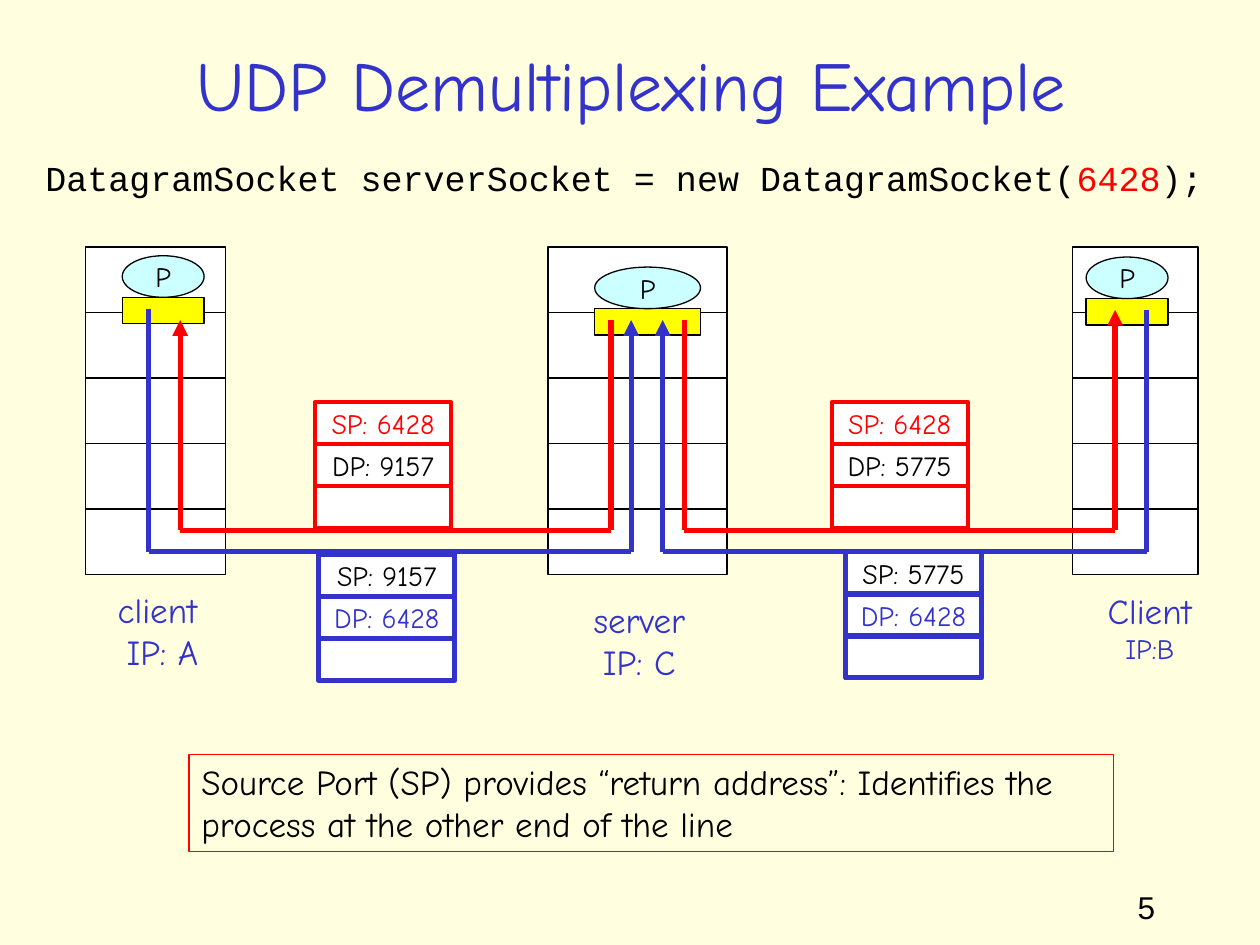
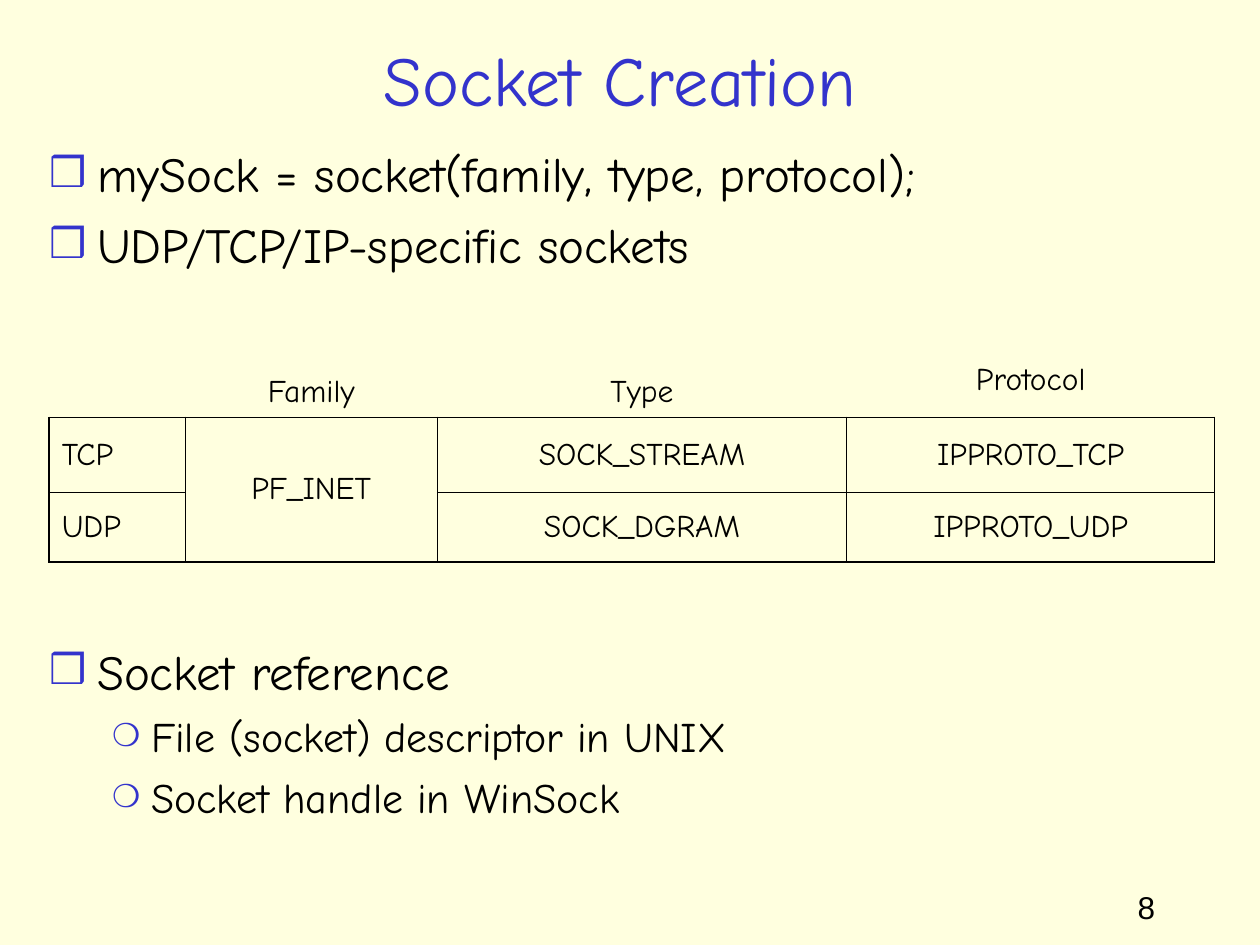
from typing import NamedTuple

from lxml.etree import SubElement
from pptx import Presentation
from pptx.dml.color import RGBColor
from pptx.enum.shapes import MSO_CONNECTOR, MSO_SHAPE
from pptx.enum.text import MSO_ANCHOR, MSO_AUTO_SIZE, PP_ALIGN
from pptx.oxml.ns import qn
from pptx.util import Inches, Pt

CREAM = RGBColor(0xFF, 0xFF, 0xDF)
BLUE = RGBColor(0x33, 0x33, 0xCC)
RED = RGBColor(0xFF, 0x00, 0x00)
BLACK = RGBColor(0x00, 0x00, 0x00)
WHITE = RGBColor(0xFF, 0xFF, 0xFF)
YELLOW = RGBColor(0xFF, 0xFF, 0x00)
CYAN = RGBColor(0xCC, 0xFF, 0xFF)

MAIN_FONT = "Comic Neue"
CODE_FONT = "Courier New"
NUMBER_FONT = "Arial"

LAYER_COUNT, LAYER_TOP, LAYER_HEIGHT = 5, 1.96, 0.52
PROCESS_HEIGHT, SOCKET_HEIGHT = 0.33, 0.21
FIELD_WIDTH, FIELD_HEIGHT = 1.08, 1 / 3
SERVER_PORT = 6428
NO_TABLE_STYLE = "{2D5ABB26-0587-4C30-8999-92F81FD0307C}"
THIN, THICK = 0.45, 1.08


class CaptionLine(NamedTuple):
    text: str
    size: int = 20
    indent: float = 0


class Host(NamedTuple):
    left: float
    width: float
    process_left: float
    process_top: float
    process_width: float
    caption_box: tuple[float, float, float, float]
    caption: tuple[CaptionLine, CaptionLine]


class Wire(NamedTuple):
    """A path that leaves a socket, runs along a level and ends in an arrow."""
    color: RGBColor
    start: tuple[float, float]
    end: tuple[float, float]
    level: float


class Packet(NamedTuple):
    left: float
    top: float
    color: RGBColor
    line_width: float
    source_port: int
    destination_port: int


class Bullet(NamedTuple):
    symbol: str
    percent: int
    level: int
    margin: float
    hanging: float
    size: int


class ListItem(NamedTuple):
    text: str
    bullet: Bullet
    space_before: float


SQUARE = Bullet("❒", 85, 0, 0.38, 0.38, 28)
CIRCLE = Bullet("❍", 75, 1, 0.81, 0.31, 24)

HOSTS = [
    Host(0.68, 1.11, 0.97, 2.03, 0.65, (0.82, 4.62, 0.86, 0.77),
         (CaptionLine("client"), CaptionLine("IP: A", indent=0.08))),
    Host(8.51, 1.0, 8.62, 2.04, 0.65, (8.69, 4.63, 0.87, 0.7),
         (CaptionLine("Client"), CaptionLine("IP:B", size=16))),
    Host(4.35, 1.42, 4.72, 2.12, 0.84, (4.61, 4.7, 0.93, 0.77),
         (CaptionLine("server"), CaptionLine("IP: C"))),
]
WIRES = [
    Wire(RED, (4.85, 2.54), (1.43, 2.54), 4.21),
    Wire(BLUE, (1.18, 2.45), (5.01, 2.54), 4.38),
    Wire(BLUE, (9.1, 2.46), (5.26, 2.54), 4.38),
    Wire(RED, (5.43, 2.54), (8.85, 2.46), 4.21),
]
PACKETS = [
    Packet(2.5, 3.19, RED, 2.25, SERVER_PORT, 9157),
    Packet(2.53, 4.4, BLUE, 3, 9157, SERVER_PORT),
    Packet(6.6, 3.19, RED, 2.25, SERVER_PORT, 5775),
    Packet(6.71, 4.38, BLUE, 3, 5775, SERVER_PORT),
]
SOCKET_LIST = [
    ListItem("mySock = socket(family, type, protocol);", SQUARE, 0),
    ListItem("UDP/TCP/IP-specific sockets", SQUARE, 7),
    ListItem("Socket reference", SQUARE, 210),
    ListItem("File (socket) descriptor in UNIX", CIRCLE, 6),
    ListItem("Socket handle in WinSock", CIRCLE, 6),
]
SOCKET_TABLE = [
    ["", "Family", "Type", "Protocol"],
    ["TCP", "PF_INET", "SOCK_STREAM", "IPPROTO_TCP"],
    ["UDP", "", "SOCK_DGRAM", "IPPROTO_UDP"],
]
COLUMN_WIDTHS = [1.08, 2, 3.25, 2.92]
ROW_HEIGHTS = [0.49, 0.6, 0.55]


def inches(*lengths: float) -> list:
    return [Inches(length) for length in lengths]


def write(paragraph, text: str, *, size: float = 16, color: RGBColor = BLACK,
          font: str = MAIN_FONT, align=PP_ALIGN.LEFT, space_before: float = 0) -> None:
    """Append a formatted run to the paragraph."""
    paragraph.alignment = align
    paragraph.space_before = Pt(space_before)
    run = paragraph.add_run()
    run.text = text
    run.font.name = font
    run.font.size = Pt(size)
    run.font.color.rgb = color


def set_indent(paragraph, margin: float, first_line: float = 0) -> None:
    properties = paragraph._p.get_or_add_pPr()
    properties.set("marL", str(Inches(margin)))
    properties.set("indent", str(Inches(first_line)))


def set_bullet(paragraph, bullet: Bullet) -> None:
    paragraph.level = bullet.level
    set_indent(paragraph, bullet.margin, -bullet.hanging)
    properties = paragraph._p.get_or_add_pPr()
    color = SubElement(properties, qn("a:buClr"))
    SubElement(color, qn("a:srgbClr"), val=str(BLUE))
    SubElement(properties, qn("a:buSzPct"), val=str(bullet.percent * 1000))
    SubElement(properties, qn("a:buChar"), char=bullet.symbol)


def place(placeholder, box: tuple[float, float, float, float]):
    """Move a placeholder and return its text frame."""
    placeholder.left, placeholder.top, placeholder.width, placeholder.height = inches(*box)
    frame = placeholder.text_frame
    frame.auto_size = MSO_AUTO_SIZE.NONE
    return frame


def add_slide(presentation, title: str, number: int, title_box: tuple, body_box: tuple):
    """Add a titled, numbered slide and return it with its body frame."""
    slide = presentation.slides.add_slide(presentation.slide_layouts[1])
    title_frame = place(slide.shapes.title, title_box)
    write(title_frame.paragraphs[0], title, size=40, color=BLUE, align=PP_ALIGN.CENTER)
    number_box = slide.shapes.add_textbox(*inches(8.93, 7, 0.74, 0.5))
    write(number_box.text_frame.paragraphs[0], str(number), size=18, font=NUMBER_FONT)
    return slide, place(slide.placeholders[1], body_box)


def add_box(slide, box: tuple, *, kind=MSO_SHAPE.RECTANGLE, fill: RGBColor | None = WHITE,
            line: RGBColor = BLACK, line_width: float = 0.75):
    shape = slide.shapes.add_shape(kind, *inches(*box))
    shape.shadow.inherit = False
    if fill is None:
        shape.fill.background()
    else:
        shape.fill.solid()
        shape.fill.fore_color.rgb = fill
    shape.line.color.rgb = line
    shape.line.width = Pt(line_width)
    return shape


def label(shape, text: str, color: RGBColor = BLACK) -> None:
    frame = shape.text_frame
    frame.word_wrap = False
    frame.vertical_anchor = MSO_ANCHOR.MIDDLE
    write(frame.paragraphs[0], text, color=color, align=PP_ALIGN.CENTER)


def draw_host(slide, host: Host) -> None:
    for layer in range(LAYER_COUNT):
        add_box(slide, (host.left, LAYER_TOP + layer * LAYER_HEIGHT, host.width, LAYER_HEIGHT))
    add_box(slide, (host.process_left, host.process_top + PROCESS_HEIGHT,
                    host.process_width, SOCKET_HEIGHT), fill=YELLOW)
    process = add_box(slide, (host.process_left, host.process_top, host.process_width,
                              PROCESS_HEIGHT), kind=MSO_SHAPE.OVAL, fill=CYAN)
    label(process, "P")
    frame = slide.shapes.add_textbox(*inches(*host.caption_box)).text_frame
    frame.word_wrap = False
    for index, line in enumerate(host.caption):
        paragraph = frame.add_paragraph() if index else frame.paragraphs[0]
        set_indent(paragraph, line.indent)
        write(paragraph, line.text, size=line.size, color=BLUE, align=PP_ALIGN.CENTER)


def draw_wire(slide, wire: Wire) -> None:
    corners = [wire.start, (wire.start[0], wire.level), (wire.end[0], wire.level), wire.end]
    for start, end in zip(corners, corners[1:]):
        connector = slide.shapes.add_connector(MSO_CONNECTOR.STRAIGHT, *inches(*start, *end))
        connector.line.color.rgb = wire.color
        connector.line.width = Pt(3)
        SubElement(connector._element.spPr, qn("a:effectLst"))
    SubElement(connector.line._get_or_add_ln(), qn("a:tailEnd"), type="triangle")


def draw_packet(slide, packet: Packet) -> None:
    fields = [("SP", packet.source_port), ("DP", packet.destination_port), None]
    for row, field in enumerate(fields):
        shape = add_box(slide, (packet.left, packet.top + row * FIELD_HEIGHT,
                                FIELD_WIDTH, FIELD_HEIGHT),
                        line=packet.color, line_width=packet.line_width)
        if field:
            name, port = field
            label(shape, f"{name}: {port}", packet.color if port == SERVER_PORT else BLACK)


def set_borders(cell, widths: dict[str, float]) -> None:
    properties = cell._tc.get_or_add_tcPr()
    for edge, width in widths.items():
        line = SubElement(properties, qn(f"a:ln{edge}"), w=str(Pt(width)))
        fill = SubElement(line, qn("a:solidFill"))
        SubElement(fill, qn("a:srgbClr"), val=str(BLACK))


def add_socket_table(slide) -> None:
    last_row, last_column = len(ROW_HEIGHTS) - 1, len(COLUMN_WIDTHS) - 1
    table = slide.shapes.add_table(last_row + 1, last_column + 1,
                                   *inches(0.39, 2.82, 9.25, 1.64)).table
    table.first_row = table.horz_banding = False
    table._tbl.tblPr.find(qn("a:tableStyleId")).text = NO_TABLE_STYLE
    for column, width in zip(table.columns, COLUMN_WIDTHS):
        column.width = Inches(width)
    for row, height in zip(table.rows, ROW_HEIGHTS):
        row.height = Inches(height)
    table.cell(1, 1).merge(table.cell(2, 1))
    for row, texts in enumerate(SOCKET_TABLE):
        for column, text in enumerate(texts):
            cell = table.cell(row, column)
            if row == 0:
                set_borders(cell, {"B": THIN})
                cell.vertical_anchor = (MSO_ANCHOR.TOP if column == last_column
                                        else MSO_ANCHOR.BOTTOM)
            else:
                reaches_bottom = row == last_row or cell.is_merge_origin
                set_borders(cell, {"L": THICK if column == 0 else THIN,
                                   "R": THICK if column == last_column else THIN,
                                   "T": THIN,
                                   "B": THICK if reaches_bottom else THIN})
                cell.vertical_anchor = MSO_ANCHOR.MIDDLE
            cell.fill.background()
            if text:
                write(cell.text_frame.paragraphs[0], text, size=18,
                      align=PP_ALIGN.CENTER if column else PP_ALIGN.LEFT)


def build_demultiplexing_slide(presentation) -> None:
    slide, body = add_slide(presentation, "UDP Demultiplexing Example", 5,
                            (0.58, 0.25, 8.86, 0.82), (0.26, 1.19, 9.5, 0.6))
    code = body.paragraphs[0]
    set_indent(code, 0)
    SubElement(code._p.get_or_add_pPr(), qn("a:buNone"))
    for text, color in [("DatagramSocket serverSocket = new DatagramSocket(", BLACK),
                        (str(SERVER_PORT), RED), (");", BLACK)]:
        write(code, text, size=20, color=color, font=CODE_FONT)
    for host in HOSTS:
        draw_host(slide, host)
    for wire in WIRES:
        draw_wire(slide, wire)
    for packet in PACKETS:
        draw_packet(slide, packet)
    note = add_box(slide, (1.5, 5.99, 7.34, 0.77), fill=None, line=RED).text_frame
    note.word_wrap = True
    note.vertical_anchor = MSO_ANCHOR.TOP
    write(note.paragraphs[0], "Source Port (SP) provides “return address”: Identifies the "
          "process at the other end of the line", size=20)


def build_socket_slide(presentation) -> None:
    slide, body = add_slide(presentation, "Socket Creation", 8,
                            (0.67, 0.19, 8.5, 0.86), (0.29, 1.09, 9.54, 6.24))
    for index, item in enumerate(SOCKET_LIST):
        paragraph = body.add_paragraph() if index else body.paragraphs[0]
        set_bullet(paragraph, item.bullet)
        write(paragraph, item.text, size=item.bullet.size, space_before=item.space_before)
    add_socket_table(slide)


def main() -> None:
    presentation = Presentation()
    presentation.slide_width, presentation.slide_height = inches(10, 7.5)
    background = presentation.slide_master.background.fill
    background.solid()
    background.fore_color.rgb = CREAM
    build_demultiplexing_slide(presentation)
    build_socket_slide(presentation)
    presentation.save("out.pptx")


if __name__ == "__main__":
    main()
